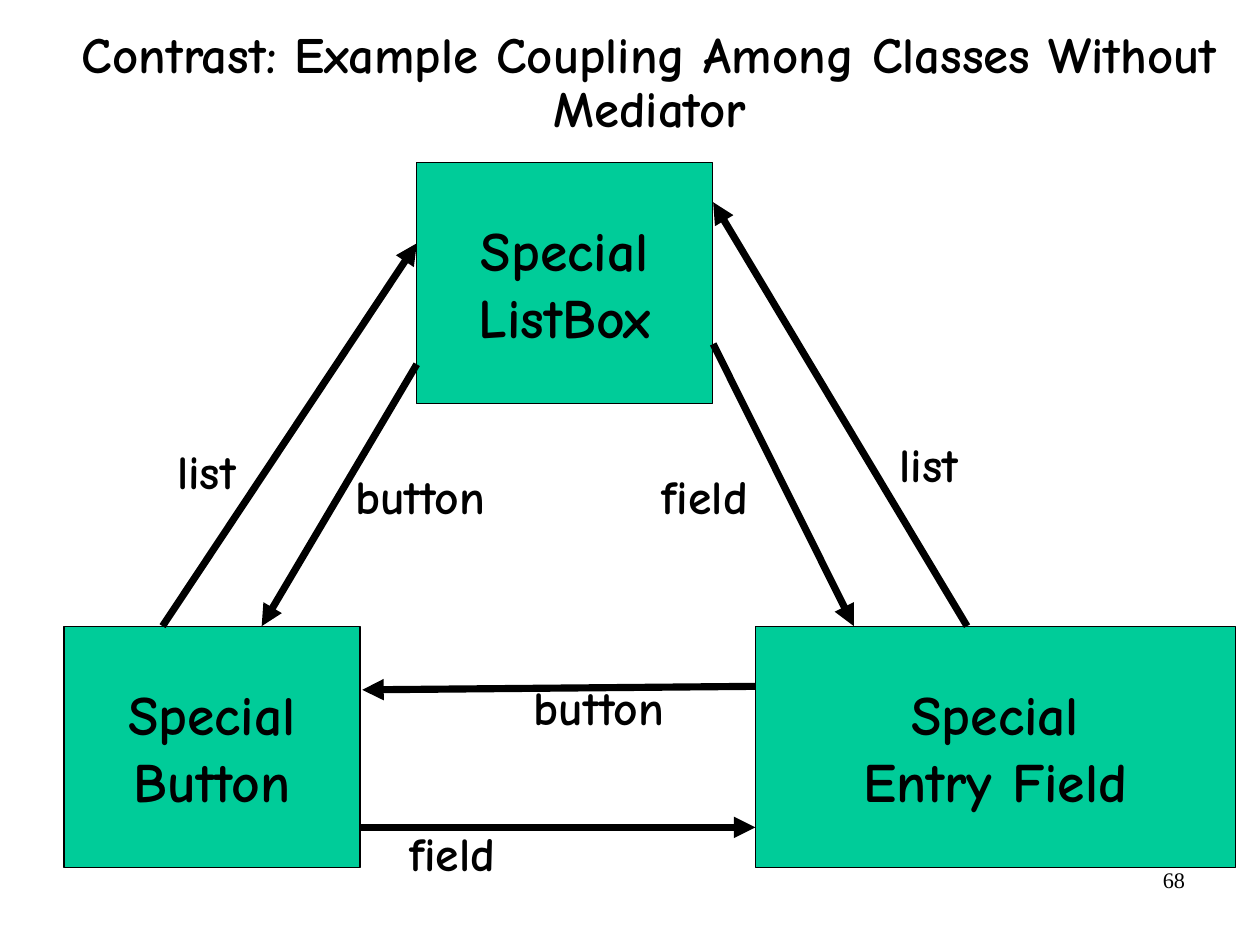
from dataclasses import dataclass

from pptx import Presentation
from pptx import util as u
from pptx.dml.color import RGBColor
from pptx.enum import shapes, text
from pptx.oxml.ns import qn
from lxml import etree

WIDE, HIGH = u.Cm(28), u.Cm(21)
INK, GREEN = "000000", "00CC99"
COMIC, TIMES = "Comic Neue", "Times New Roman"
SIDE, BASE, TALL = 23.5, 66.26, 25.5
MID, ALIGN = text.MSO_ANCHOR.MIDDLE, text.PP_ALIGN


@dataclass
class Node:
    name: str
    left: float
    top: float
    width: float = SIDE


@dataclass
class Link:
    word: str
    start: tuple[float, float]
    end: tuple[float, float]
    label: tuple[float, float]


NODES = [
    Node("Special\nButton", 5.08, BASE),
    Node("Special\nEntry Field", 59.95, BASE, 38.1),
    Node("Special\nListBox", 33.08, 17.17),
]
LINKS = [
    Link("list", (12.9, BASE), (33.08, 25.75), (13.06, 46)),
    Link("button", (33.08, 38.55), (20.77, BASE), (27.2, 48.67)),
    Link("field", (28.58, 87.55), (59.95, 87.55), (31.47, 86.5)),
    Link("button", (59.95, 72.63), (28.75, 73), (41.37, 71)),
    Link("field", (56.6, 36.4), (67.77, BASE), (51.52, 48.67)),
    Link("list", (76.75, BASE), (56.6, 21.4), (70.4, 45.27)),
]
SPANS = {"list": 6.6, "button": 12.4, "field": 8.9}


def across(share: float) -> int:
    return round(WIDE * share / 100)


def down(share: float) -> int:
    return round(HIGH * share / 100)


def area(left: float, top: float, width: float, height: float) -> tuple:
    return across(left), down(top), across(width), down(height)


def color(code: str) -> RGBColor:
    return RGBColor.from_string(code)


def write(shape, words: str, size: float, align, font: str = COMIC,
          anchor=text.MSO_ANCHOR.TOP, wrap: bool = False,
          pad: tuple[float, float] = (0.11, 0.06)) -> None:
    frame = shape.text_frame
    frame.text = words
    frame.auto_size = text.MSO_AUTO_SIZE.NONE
    frame.word_wrap = wrap
    frame.vertical_anchor = anchor
    frame.margin_left = frame.margin_right = u.Inches(pad[0])
    frame.margin_top = frame.margin_bottom = u.Inches(pad[1])
    for line in frame.paragraphs:
        line.alignment = align
        line.font.name = font
        line.font.size = u.Pt(size)
        line.font.bold = font == COMIC
        line.font.color.rgb = color(INK)


def head(slide, words: str) -> None:
    title = slide.shapes.title
    title.left, title.top, title.width, title.height = area(3.15, 0.62, 96.85, 16.57)
    write(title, words, 32, ALIGN.CENTER, anchor=MID, wrap=True, pad=(0, 0))
    title.text_frame.paragraphs[0].line_spacing = 0.88


def block(slide, node: Node) -> None:
    box = slide.shapes.add_shape(shapes.MSO_SHAPE.RECTANGLE,
                                 *area(node.left, node.top, node.width, TALL))
    box.shadow.inherit = False
    box.fill.solid()
    box.fill.fore_color.rgb = color(GREEN)
    box.line.color.rgb = color(INK)
    box.line.width = u.Pt(0.75)
    write(box, node.name, 35, ALIGN.CENTER, anchor=MID)


def arrow(slide, link: Link) -> None:
    (x, y), (to, low) = link.start, link.end
    line = slide.shapes.add_connector(shapes.MSO_CONNECTOR.STRAIGHT,
                                      across(x), down(y), across(to), down(low))
    line.line.color.rgb = color(INK)
    line.line.width = u.Pt(4.5)
    stroke = line._element.spPr.find(qn("a:ln"))
    etree.SubElement(stroke, qn("a:tailEnd"), type="triangle")
    etree.SubElement(line._element.spPr, qn("a:effectLst"))
    tag = slide.shapes.add_textbox(*area(*link.label, SPANS[link.word], 7.4))
    write(tag, link.word, 30, ALIGN.LEFT)


def main() -> None:
    """Draw three classes that all refer to one another."""
    deck = Presentation()
    deck.slide_width, deck.slide_height = WIDE, HIGH
    slide = deck.slides.add_slide(deck.slide_layouts[5])
    head(slide, "Contrast: Example Coupling Among Classes Without Mediator")
    for node in NODES:
        block(slide, node)
    for link in LINKS:
        arrow(slide, link)
    page = slide.shapes.add_textbox(*area(71.65, 91.05, 23.3, 6.9))
    write(page, "68", 14, ALIGN.RIGHT, TIMES, wrap=True, pad=(0.1, 0.05))
    deck.save("out.pptx")


if __name__ == "__main__":
    main()
